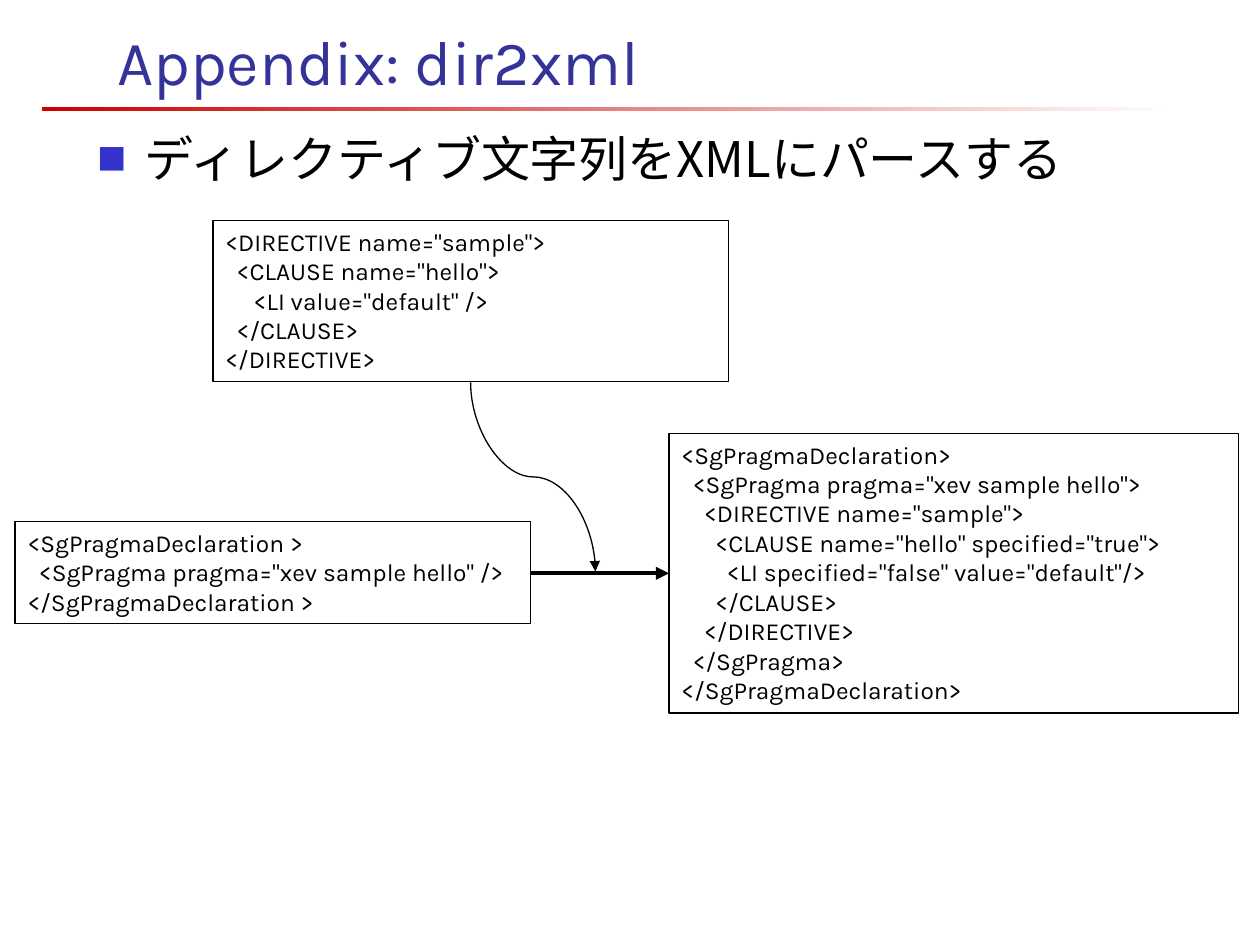
from dataclasses import dataclass

from lxml import etree
from pptx import Presentation
from pptx.dml.color import RGBColor
from pptx.enum.shapes import MSO_CONNECTOR, MSO_SHAPE
from pptx.enum.text import MSO_ANCHOR, MSO_AUTO_SIZE, PP_ALIGN
from pptx.oxml.ns import qn
from pptx.util import Inches, Pt

RECT = MSO_SHAPE.RECTANGLE
LINE, CURVE = MSO_CONNECTOR.STRAIGHT, MSO_CONNECTOR.CURVE
LEFT, TOP, BOTTOM = PP_ALIGN.LEFT, MSO_ANCHOR.TOP, MSO_ANCHOR.BOTTOM
FIXED, GROW = MSO_AUTO_SIZE.NONE, MSO_AUTO_SIZE.SHAPE_TO_FIT_TEXT

BLACK = RGBColor(0x00, 0x00, 0x00)
WHITE = RGBColor(0xFF, 0xFF, 0xFF)
RED = RGBColor(0xCC, 0x00, 0x00)
NAVY = RGBColor(0x33, 0x33, 0x99)
BLUE = RGBColor(0x33, 0x33, 0xCC)

LATIN, KANJI = "Karla", "Noto Sans CJK JP"
STEP = Inches(0.09) // 2  # indent for one column of code


@dataclass
class Code:
    left: float
    top: float
    width: float
    height: float
    text: str


@dataclass
class Arrow:
    kind: int
    start: tuple[float, float]
    end: tuple[float, float]
    weight: float
    turn: int = 0


SOURCE = Code(0.12, 4.14, 4.09, 0.81, """\
<SgPragmaDeclaration >
  <SgPragma pragma="xev sample hello" />
</SgPragmaDeclaration >""")

RESULT = Code(5.31, 3.44, 4.52, 2.22, """\
<SgPragmaDeclaration>
  <SgPragma pragma="xev sample hello">
    <DIRECTIVE name="sample">
      <CLAUSE name="hello" specified="true">
        <LI specified="false" value="default"/>
      </CLAUSE>
    </DIRECTIVE>
  </SgPragma>
</SgPragmaDeclaration>""")

RULES = Code(1.69, 1.75, 4.09, 1.28, """\
<DIRECTIVE name="sample">
  <CLAUSE name="hello">
     <LI value="default" />
  </CLAUSE>
</DIRECTIVE>""")

# The curve is laid out sideways, then turned to run downwards
ARROWS = [
    Arrow(LINE, (4.21, 4.55), (5.31, 4.55), 2.5),
    Arrow(CURVE, (4.98, 3.29), (3.48, 4.28), 0.75, turn=270),
]


def set_font(para, face: str, size: float, color: RGBColor) -> None:
    font = para.font
    font.name, font.size, font.color.rgb = face, Pt(size), color
    east = etree.SubElement(font._element, qn("a:ea"))
    east.set("typeface", face)


def fill_holder(shape, box: tuple, text: str, anchor):
    """Place a placeholder, set its text and return the paragraph."""
    shape.left, shape.top, shape.width, shape.height = map(Inches, box)
    frame = shape.text_frame
    frame.text = text
    frame.auto_size, frame.vertical_anchor = FIXED, anchor
    para = frame.paragraphs[0]
    para.alignment = LEFT
    return para


def add_bullet(para, mark: str, color: RGBColor, percent: int) -> None:
    props = para._p.get_or_add_pPr()
    props.set("marL", str(Inches(0.38)))
    props.set("indent", str(-Inches(0.38)))
    tint = etree.SubElement(props, qn("a:buClr"))
    etree.SubElement(tint, qn("a:srgbClr")).set("val", str(color))
    etree.SubElement(props, qn("a:buSzPct")).set("val", str(percent * 1000))
    etree.SubElement(props, qn("a:buFont")).set("typeface", KANJI)
    etree.SubElement(props, qn("a:buChar")).set("char", mark)


def add_rule(slide) -> None:
    rule = slide.shapes.add_shape(
        RECT, Inches(0.33), Inches(0.85), Inches(9), Inches(0.03))
    rule.shadow.inherit = False
    rule.line.fill.background()
    rule.fill.gradient()
    rule.fill.gradient_angle = 0
    for stop, color in zip(rule.fill.gradient_stops, (RED, WHITE)):
        stop.color.rgb = color
    first, last = rule.fill.gradient_stops
    first.position, last.position = 0, 1


def add_code(slide, code: Code) -> None:
    box = slide.shapes.add_shape(
        RECT, Inches(code.left), Inches(code.top),
        Inches(code.width), Inches(code.height))
    box.shadow.inherit = False
    box.fill.background()
    box.line.color.rgb, box.line.width = BLACK, Pt(0.75)
    frame = box.text_frame
    frame.word_wrap, frame.auto_size = True, GROW
    frame.vertical_anchor = TOP
    lines = code.text.splitlines()
    frame.text = "\n".join(line.lstrip() for line in lines)
    for para, line in zip(frame.paragraphs, lines):
        depth = len(line) - len(line.lstrip())
        para.alignment = LEFT
        para._p.get_or_add_pPr().set("marL", str(depth * STEP))
        set_font(para, LATIN, 14, BLACK)


def add_arrow(slide, arrow: Arrow) -> None:
    link = slide.shapes.add_connector(
        arrow.kind, *map(Inches, arrow.start + arrow.end))
    link.line.color.rgb, link.line.width = BLACK, Pt(arrow.weight)
    props = link._element.spPr
    if arrow.turn:
        props.find(qn("a:xfrm")).set("rot", str(arrow.turn * 60000))
    tip = etree.SubElement(props.find(qn("a:ln")), qn("a:tailEnd"))
    tip.set("type", "triangle")
    etree.SubElement(props, qn("a:effectLst"))


def main() -> None:
    deck = Presentation()
    deck.slide_width, deck.slide_height = Inches(10), Inches(7.5)
    slide = deck.slides.add_slide(deck.slide_layouts[1])

    # Heading
    add_rule(slide)
    title = fill_holder(slide.shapes.title, (0.83, -0.42, 8.52, 1.25),
                        "Appendix: dir2xml", BOTTOM)
    set_font(title, LATIN, 36, NAVY)

    # Key point
    point = fill_holder(slide.placeholders[1], (0.67, 0.97, 8.92, 0.97),
                        "ディレクティブ文字列をXMLにパースする", TOP)
    add_bullet(point, "■", BLUE, 60)
    set_font(point, KANJI, 28, BLACK)

    # Diagram
    for code in (SOURCE, RESULT, RULES):
        add_code(slide, code)
    for arrow in ARROWS:
        add_arrow(slide, arrow)

    deck.save("out.pptx")


if __name__ == "__main__":
    main()
